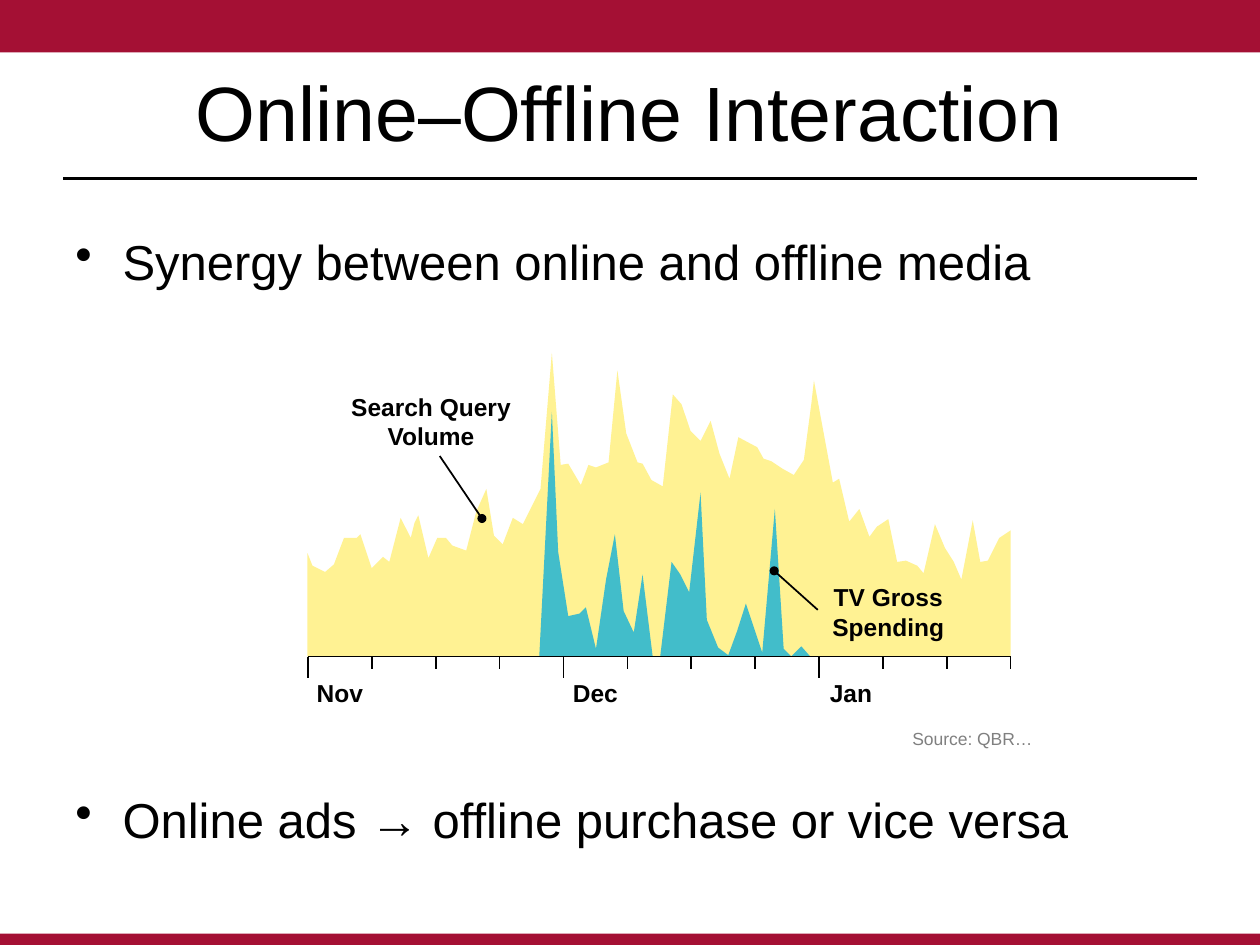
from lxml import etree
from pptx import Presentation
from pptx.dml.color import RGBColor
from pptx.enum.shapes import MSO_CONNECTOR, MSO_SHAPE
from pptx.enum.text import MSO_ANCHOR, PP_ALIGN
from pptx.oxml.ns import qn
from pptx.util import Pt

RECTANGLE, OVAL = MSO_SHAPE.RECTANGLE, MSO_SHAPE.OVAL
STRAIGHT = MSO_CONNECTOR.STRAIGHT
TOP, MIDDLE = MSO_ANCHOR.TOP, MSO_ANCHOR.MIDDLE
LEFT, CENTER, RIGHT = PP_ALIGN.LEFT, PP_ALIGN.CENTER, PP_ALIGN.RIGHT

CRIMSON, YELLOW, TEAL = "A41034", "FFF293", "42BDCA"
BLACK, GRAY = "000000", "808080"

# Outline points are in hundredths of an inch, that is 0.72 pt.
OUTLINE_UNIT = Pt(0.72)
SEARCH_VOLUME = [
    (244, 521), (244, 439), (248, 449), (258, 454), (265, 448), (273, 427),
    (283, 427), (286, 424), (295, 451), (304, 442), (309, 446), (318, 411),
    (326, 427), (329, 415), (332, 409), (340, 443), (347, 427), (354, 427),
    (359, 433), (370, 437), (378, 406), (386, 388), (392, 425), (399, 432),
    (407, 411), (415, 416), (429, 388), (438, 280), (445, 369), (451, 368),
    (461, 385), (467, 369), (473, 371), (483, 367), (490, 294), (497, 344),
    (506, 367), (510, 368), (517, 381), (526, 386), (534, 313), (541, 321),
    (548, 342), (556, 350), (564, 334), (571, 360), (579, 380), (586, 347),
    (601, 355), (606, 364), (612, 366), (621, 372), (630, 377), (638, 365),
    (644, 320), (646, 302), (661, 383), (666, 380), (674, 414), (682, 404),
    (690, 426), (696, 418), (705, 412), (712, 446), (719, 445), (728, 449),
    (733, 455), (742, 416), (750, 435), (757, 446), (763, 460), (772, 413),
    (778, 446), (784, 445), (793, 427), (802, 421), (802, 521),
]
TV_SPENDING = [
    (428, 521), (438, 327), (443, 438), (451, 489), (460, 487), (465, 482),
    (473, 515), (481, 460), (488, 424), (495, 485), (503, 502), (510, 456),
    (518, 521), (524, 521), (533, 446), (540, 456), (547, 470), (556, 391),
    (561, 492), (570, 514), (578, 520), (585, 501), (592, 479), (605, 518),
    (615, 404), (622, 515), (628, 521), (636, 513), (643, 521),
]

AXIS_LEFT, AXIS_Y, TICK_GAP, TICKS_PER_MONTH = 176, 375.2, 36.5, 4
MONTHS = ["Nov", "Dec", "Jan"]


def color(value):
    return RGBColor.from_string(value)


class SlideBuilder:
    """Holds the font and the page that elements are added to."""

    def __init__(self, page, font="Arial"):
        self.page = page
        self.font = font

    def paint(self, shape, fill):
        shape.shadow.inherit = False
        shape.fill.solid()
        shape.fill.fore_color.rgb = color(fill)
        shape.line.fill.background()

    def shape(self, kind, x, y, width, height, fill):
        shape = self.page.shapes.add_shape(kind, Pt(x), Pt(y), Pt(width), Pt(height))
        self.paint(shape, fill)

    def outline(self, points, fill):
        builder = self.page.shapes.build_freeform(*points[0], scale=OUTLINE_UNIT)
        builder.add_line_segments(points[1:], close=True)
        self.paint(builder.convert_to_shape(), fill)

    def line(self, x1, y1, x2, y2, width=1):
        line = self.page.shapes.add_connector(STRAIGHT, Pt(x1), Pt(y1), Pt(x2), Pt(y2))
        line.line.color.rgb = color(BLACK)
        line.line.width = Pt(width)
        etree.SubElement(line._element.spPr, qn("a:effectLst"))

    def text(self, text, x, y, width, height, *, size, fill=BLACK, bold=False,
             align=CENTER, anchor=MIDDLE, bullet_indent=0, gap=0):
        """Add a text box with one paragraph per line, gap points apart."""
        box = self.page.shapes.add_textbox(Pt(x), Pt(y), Pt(width), Pt(height))
        frame = box.text_frame
        frame.word_wrap = True
        frame.vertical_anchor = anchor
        for number, content in enumerate(text.split("\n")):
            para = frame.add_paragraph() if number else frame.paragraphs[0]
            para.alignment = align
            para.space_before = Pt(gap if number else 0)
            span = para.add_run()
            span.text = content
            span.font.name = self.font
            span.font.size = Pt(size)
            span.font.bold = bold
            span.font.color.rgb = color(fill)
            if bullet_indent:
                self.bullet(para, bullet_indent)

    def bullet(self, para, indent):
        properties = para._p.get_or_add_pPr()
        properties.set("marL", str(Pt(indent)))
        properties.set("indent", str(-Pt(indent)))
        etree.SubElement(properties, qn("a:buChar"), char="•")


def add_frame(builder):
    builder.shape(RECTANGLE, 0, 0, 720, 30, CRIMSON)
    builder.shape(RECTANGLE, 0, 533.5, 720, 6.5, CRIMSON)
    builder.line(36, 102, 684, 102, width=1.25)
    builder.text("Online–Offline Interaction", 36, 18, 648, 90, size=44)
    builder.text("Synergy between online and offline media\n"
                 "Online ads → offline purchase or vice versa",
                 36, 128.8, 648, 384, size=28, align=LEFT, anchor=TOP,
                 bullet_indent=27, gap=285)


def add_area_graph(builder):
    builder.outline(SEARCH_VOLUME, YELLOW)
    builder.outline(TV_SPENDING, TEAL)

    tick_count = len(MONTHS) * TICKS_PER_MONTH
    axis_right = AXIS_LEFT + (tick_count - 1) * TICK_GAP
    builder.line(AXIS_LEFT, AXIS_Y, axis_right, AXIS_Y)
    for tick in range(tick_count):
        x = AXIS_LEFT + tick * TICK_GAP
        month, week = divmod(tick, TICKS_PER_MONTH)
        builder.line(x, AXIS_Y, x, AXIS_Y + (7 if week else 12))
        if week == 0:
            builder.text(MONTHS[month], x - 5.5, 382.3, 47.5, 27.4, size=14, bold=True)

    callouts = [
        ("Search Query Volume", (193, 220.3), (251.3, 260.6), (275.4, 296.3)),
        ("TV Gross Spending", (454.3, 329), (467.3, 348.5), (442.4, 326.2)),
    ]
    for label, corner, start, dot in callouts:
        builder.line(*start, *dot)
        builder.shape(OVAL, dot[0] - 2.6, dot[1] - 2.6, 5.2, 5.2, BLACK)
        builder.text(label, *corner, 106.6, 41, size=14, bold=True)
    builder.text("Source: QBR…", 162, 412.6, 435, 19.4, size=10, fill=GRAY,
                 align=RIGHT, anchor=TOP)


def main():
    deck = Presentation()
    deck.slide_width, deck.slide_height = Pt(720), Pt(540)
    builder = SlideBuilder(deck.slides.add_slide(deck.slide_layouts[6]))
    add_frame(builder)
    add_area_graph(builder)
    deck.save("out.pptx")


if __name__ == "__main__":
    main()
